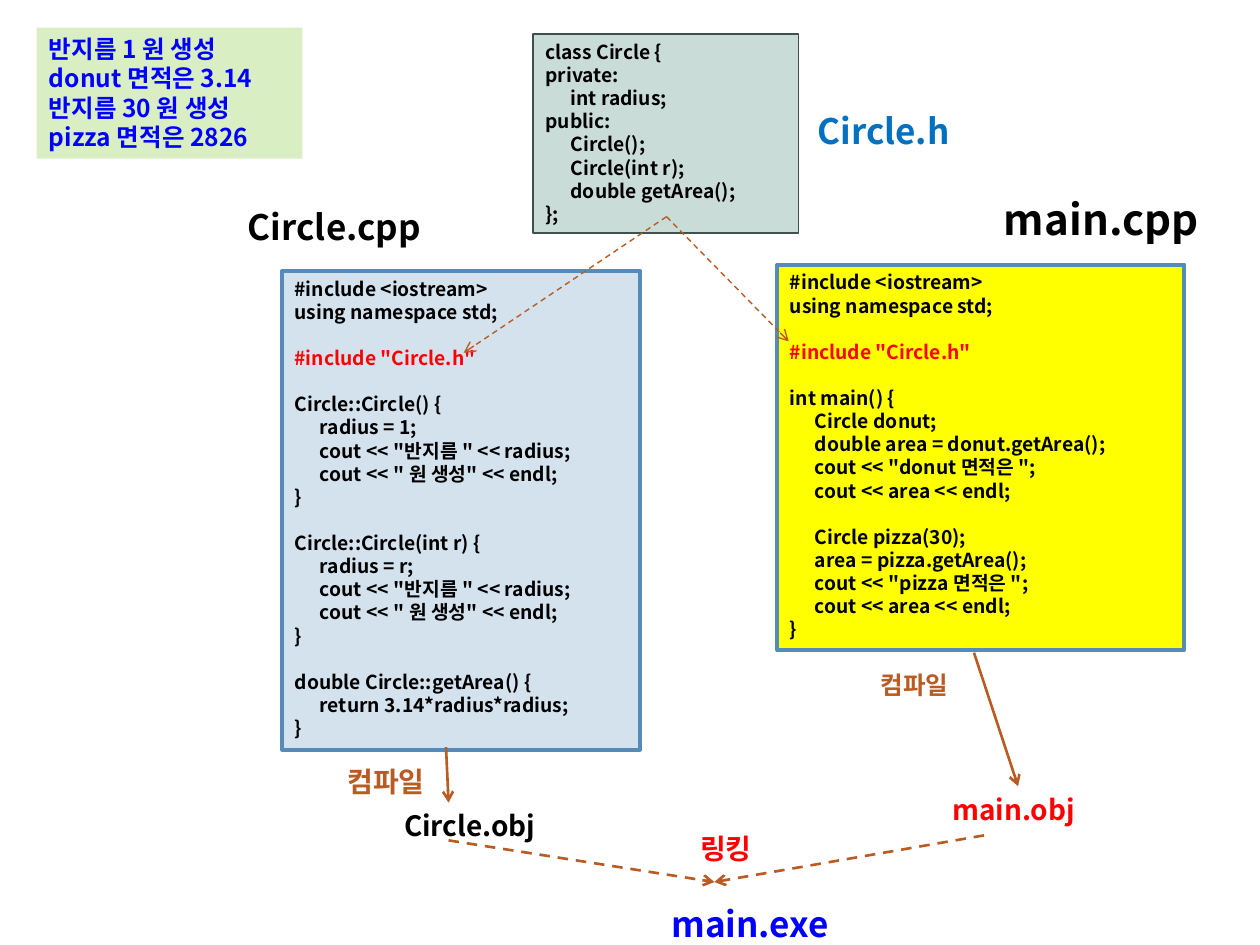
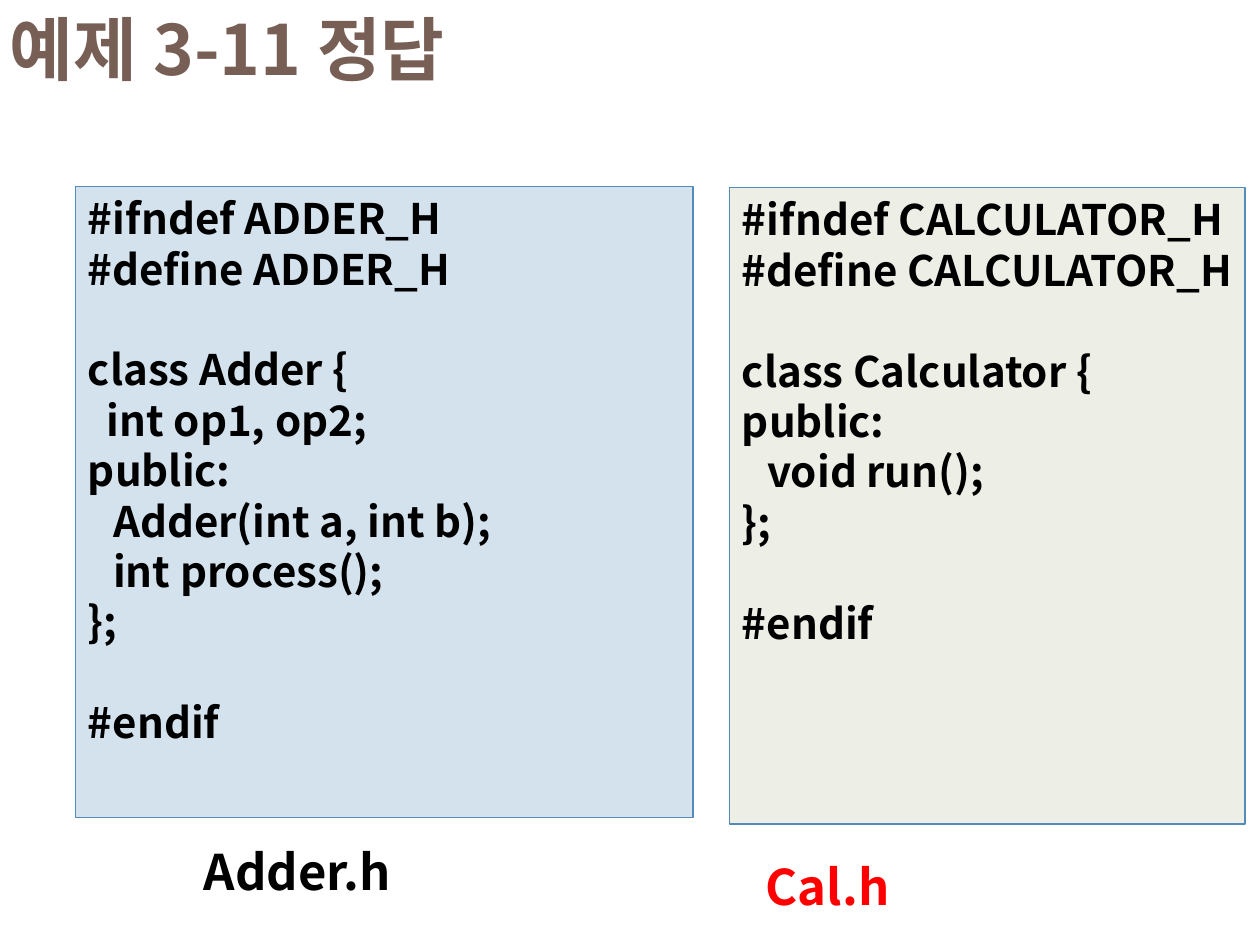
"""Build two slides on splitting C++ classes into header and source files."""
from dataclasses import dataclass

import lxml.etree
import pptx
import pptx.dml.color
import pptx.enum.dml
import pptx.enum.shapes
import pptx.enum.text
import pptx.oxml
import pptx.oxml.ns
import pptx.util
from pptx.util import Inches


@dataclass(frozen=True)
class Theme:
    font: str = "Noto Sans CJK KR"
    black: str = "000000"
    red: str = "FF0000"
    blue: str = "0000FF"
    sky: str = "0070C0"
    rust: str = "B95B22"
    brown: str = "775F55"
    edge: str = "558BB8"
    dark: str = "40504C"
    sage: str = "CADCD8"
    pale: str = "D4E2ED"
    yellow: str = "FFFF00"
    lime: str = "DAEEC4"
    cream: str = "EDEEE6"
    code: float = 11
    note: float = 14
    step: float = 16
    file: float = 20
    main: float = 24
    head: float = 28
    title: float = 39.6
    lead: float = 1.2


HEADER = """class Circle {
private:
\tint radius;
public:
\tCircle();
\tCircle(int r);
\tdouble getArea();
};"""

START = """#include <iostream>
using namespace std;

#include "Circle.h"

"""

CIRCLE = START + """Circle::Circle() {
\tradius = 1;
\tcout << "반지름 " << radius;
\tcout << " 원 생성" << endl;
}

Circle::Circle(int r) {
\tradius = r;
\tcout << "반지름 " << radius;
\tcout << " 원 생성" << endl;
}

double Circle::getArea() {
\treturn 3.14*radius*radius;
}"""

MAIN = START + """int main() {
\tCircle donut;
\tdouble area = donut.getArea();
\tcout << "donut 면적은 ";
\tcout << area << endl;

\tCircle pizza(30);
\tarea = pizza.getArea();
\tcout << "pizza 면적은 ";
\tcout << area << endl;
}"""

RESULT = """반지름 1 원 생성
donut 면적은 3.14
반지름 30 원 생성
pizza 면적은 2826"""

ADDER = """#ifndef ADDER_H
#define ADDER_H

class Adder {
 int op1, op2;
public:
\tAdder(int a, int b);
\tint process();
};

#endif"""

CALC = """#ifndef CALCULATOR_H
#define CALCULATOR_H

class Calculator {
public:
\tvoid run();
};

#endif"""


class Deck:
    """Hold the theme and the current slide, and draw each kind of element."""

    def __init__(self, theme):
        self.theme = theme
        self.show = pptx.Presentation()
        self.show.slide_width = Inches(10)
        self.show.slide_height = Inches(7.5)
        self.slide = None

    def page(self):
        """Start a new blank slide."""
        self.slide = self.show.slides.add_slide(self.show.slide_layouts[6])

    def color(self, code):
        """Turn a hex code into a colour."""
        return pptx.dml.color.RGBColor.from_string(code)

    def letter(self, frame, text, size, color):
        """Set lines, turning empty lines to spacing and lead marks to indents."""
        line = pptx.util.Pt(size * self.theme.lead)
        para, gap = frame.paragraphs[0], False
        for row in text.split("\n"):
            if not row:
                gap = True
                continue
            if para.text:
                para = frame.add_paragraph()
            para.text = row.lstrip()
            para.alignment = pptx.enum.text.PP_ALIGN.LEFT
            para.line_spacing = line
            para.space_before = line if gap else 0
            gap = False
            font = para.font
            font.name, font.bold = self.theme.font, True
            font.size = pptx.util.Pt(size)
            hot = row.startswith('#include "')
            font.color.rgb = self.color(self.theme.red if hot else color)
            props = para._p.get_or_add_pPr()
            inset = {"\t": 0.2, " ": 0.15}.get(row[0], 0)
            props.set("marL", str(Inches(inset)))
            props.set("indent", "0")
            east = lxml.etree.SubElement(
                props.find(pptx.oxml.ns.qn("a:defRPr")), pptx.oxml.ns.qn("a:ea"))
            east.set("typeface", self.theme.font)

    def box(self, spot, text, size, fill, edge=None, width=0.75, color=None):
        """Draw a filled rectangle of text."""
        shape = self.slide.shapes.add_shape(
            pptx.enum.shapes.MSO_SHAPE.RECTANGLE, *map(Inches, spot))
        shape.shadow.inherit = False
        shape.fill.solid()
        shape.fill.fore_color.rgb = self.color(fill)
        if edge:
            shape.line.color.rgb = self.color(edge)
            shape.line.width = pptx.util.Pt(width)
        else:
            shape.line.fill.background()
        frame = shape.text_frame
        frame.word_wrap = True
        frame.margin_right = 0
        frame.vertical_anchor = pptx.enum.text.MSO_ANCHOR.TOP
        self.letter(frame, text, size, color or self.theme.black)

    def label(self, left, top, width, text, size, color):
        """Place one line of text, as tall as its type."""
        tall = size * self.theme.lead / 72 + 0.1
        shape = self.slide.shapes.add_textbox(
            Inches(left), Inches(top), Inches(width), Inches(tall))
        frame = shape.text_frame
        frame.word_wrap = False
        frame.auto_size = pptx.enum.text.MSO_AUTO_SIZE.SHAPE_TO_FIT_TEXT
        self.letter(frame, text, size, color)

    def arrow(self, start, end, width=1.5, dash=False):
        """Draw a straight arrow."""
        link = self.slide.shapes.add_connector(
            pptx.enum.shapes.MSO_CONNECTOR.STRAIGHT, *map(Inches, start + end))
        link.line.color.rgb = self.color(self.theme.rust)
        link.line.width = pptx.util.Pt(width)
        if dash:
            link.line.dash_style = pptx.enum.dml.MSO_LINE.DASH
        tip = lxml.etree.SubElement(
            link.line._get_or_add_ln(), pptx.oxml.ns.qn("a:tailEnd"))
        tip.set("type", "arrow")
        lxml.etree.SubElement(
            link._element.spPr, pptx.oxml.ns.qn("a:effectLst"))


def build(deck):
    """Draw the slide on compiling and linking."""
    look = deck.theme
    deck.page()
    deck.box((4.23, 0.27, 2.11, 1.58), HEADER, look.code, look.sage, look.dark)
    deck.box((2.24, 2.15, 2.84, 3.8), CIRCLE, look.code, look.pale, look.edge, 2.25)
    deck.box((6.17, 2.1, 3.23, 3.06), MAIN, look.code, look.yellow, look.edge, 2.25)
    deck.box((0.29, 0.22, 2.11, 1.04), RESULT, look.note, look.lime, color=look.blue)
    for tag in (
        (6.39, 0.82, 1.38, "Circle.h", look.file, look.sky),
        (1.87, 1.58, 1.74, "Circle.cpp", look.file, look.black),
        (7.87, 1.49, 1.84, "main.cpp", look.main, look.black),
        (2.66, 6.02, 0.88, "컴파일", look.step, look.rust),
        (6.89, 5.27, 0.78, "컴파일", look.note, look.rust),
        (3.11, 6.37, 1.37, "Circle.obj", look.step, look.black),
        (7.46, 6.24, 1.23, "main.obj", look.step, look.red),
        (5.46, 6.55, 0.64, "링킹", look.step, look.red),
        (5.23, 7.11, 1.54, "main.exe", look.file, look.blue),
    ):
        deck.label(*tag)
    deck.arrow((3.54, 5.93), (3.56, 6.37))
    deck.arrow((7.73, 5.18), (8.08, 6.24))
    for start in ((3.56, 6.67), (7.81, 6.63)):
        deck.arrow(start, (5.67, 7), dash=True)
    for end in ((3.68, 2.8), (6.26, 2.71)):
        deck.arrow((5.29, 1.72), end, 0.79, True)


def answer(deck):
    """Draw the slide with the two answer headers."""
    look = deck.theme
    deck.page()
    deck.label(-0.02, 0, 4.15, "예제 3-11 정답", look.title, look.brown)
    deck.box((0.6, 1.48, 4.9, 5.01), ADDER, look.main, look.pale, look.edge)
    deck.box((5.79, 1.49, 4.09, 5.05), CALC, look.main, look.cream, look.edge)
    deck.label(1.52, 6.63, 1.84, "Adder.h", look.head, look.black)
    deck.label(5.98, 6.75, 1.3, "Cal.h", look.head, look.red)


def main():
    """Build and save the deck."""
    deck = Deck(Theme())
    build(deck)
    answer(deck)
    deck.show.save("out.pptx")


if __name__ == "__main__":
    main()
